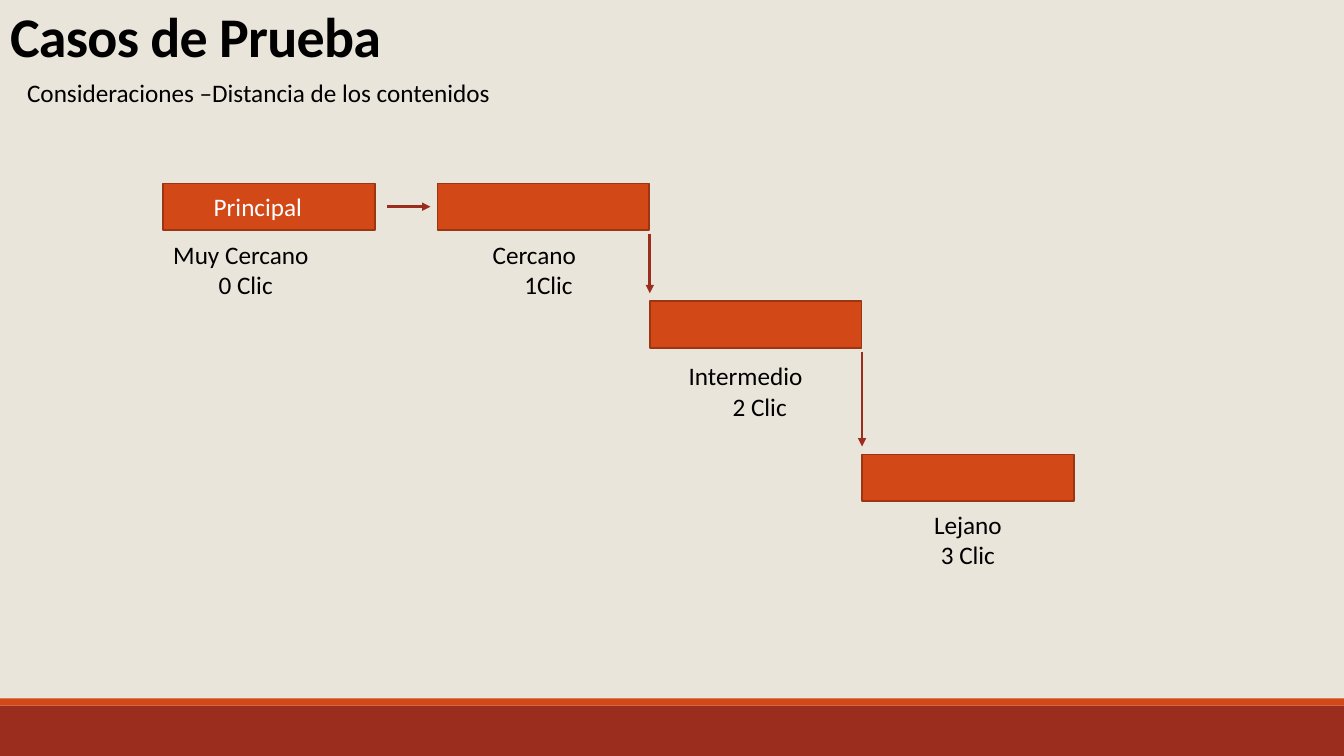
from dataclasses import dataclass

from lxml import etree
from pptx import Presentation
from pptx.dml.color import RGBColor
from pptx.enum.shapes import MSO_CONNECTOR, MSO_SHAPE
from pptx.enum.text import MSO_ANCHOR, MSO_AUTO_SIZE, PP_ALIGN
from pptx.oxml.ns import qn
from pptx.util import Inches, Pt

RECTANGLE = MSO_SHAPE.RECTANGLE
STRAIGHT = MSO_CONNECTOR.STRAIGHT
LEFT, CENTER = PP_ALIGN.LEFT, PP_ALIGN.CENTER
MIDDLE, BOTTOM = MSO_ANCHOR.MIDDLE, MSO_ANCHOR.BOTTOM
FIXED_SIZE = MSO_AUTO_SIZE.NONE

SLIDE_WIDTH, SLIDE_HEIGHT = 13.33, 7.5
STEP_WIDTH, STEP_HEIGHT = 2.1, 0.46
CAPTION_HEIGHT = 0.71
FIRST_LEFT, STAIR_LEFT, STAIR_PITCH = 1.62, 4.34, 2.105


@dataclass(frozen=True)
class Theme:
    background: RGBColor = RGBColor.from_string("EAE5DB")
    accent: RGBColor = RGBColor.from_string("D34817")
    outline: RGBColor = RGBColor.from_string("9C3511")
    dark: RGBColor = RGBColor.from_string("9B2D1F")
    text: RGBColor = RGBColor.from_string("000000")
    light: RGBColor = RGBColor.from_string("FFFFFF")
    font: str = "Calibri"
    title_size: int = 40
    body_size: int = 18


THEME = Theme()

# Left, top, step label, caption lines, caption offset, second-line indent, alignment
STEPS = [
    (FIRST_LEFT, 1.82, "Principal", "Muy Cercano\n0 Clic", (0, 0.5), 0.45, LEFT),
    (STAIR_LEFT, 1.82, "", "Cercano\n1Clic", (-0.09, 0.5), 0.28, CENTER),
    (STAIR_LEFT + STAIR_PITCH, 2.99, "", "Intermedio\n2 Clic", (-0.1, 0.54), 0.28, CENTER),
    (STAIR_LEFT + 2 * STAIR_PITCH, 4.51, "", "Lejano\n3 Clic", (0, 0.49), 0, CENTER),
]


def to_lengths(box):
    return [Inches(value) for value in box]


def format_text(text_frame, color, size=THEME.body_size, alignment=LEFT):
    for paragraph in text_frame.paragraphs:
        paragraph.alignment = alignment
        for run in paragraph.runs:
            run.font.name = THEME.font
            run.font.size = Pt(size)
            run.font.color.rgb = color


def add_rectangle(slide, box, fill, outline=None):
    shape = slide.shapes.add_shape(RECTANGLE, *to_lengths(box))
    shape.shadow.inherit = False
    shape.fill.solid()
    shape.fill.fore_color.rgb = fill
    if outline is None:
        shape.line.fill.background()
    else:
        shape.line.color.rgb = outline
        shape.line.width = Pt(1.25)
    return shape


def add_text(slide, box, text, alignment=LEFT, wrap=True):
    text_frame = slide.shapes.add_textbox(*to_lengths(box)).text_frame
    text_frame.word_wrap = wrap
    text_frame.text = text
    format_text(text_frame, THEME.text, alignment=alignment)
    return text_frame


def add_arrow(slide, start, end):
    arrow = slide.shapes.add_connector(STRAIGHT, *to_lengths(start + end))
    arrow.line.color.rgb = THEME.dark
    arrow.line.width = Pt(2)
    line = arrow.line._get_or_add_ln()
    etree.SubElement(line, qn("a:tailEnd"), type="triangle")
    etree.SubElement(arrow._element.spPr, qn("a:effectLst"))


def add_footer(slide, box):
    """Dark band with an accent strip on its upper edge."""
    left, top, width, height = box
    strip = 0.07
    add_rectangle(slide, (left, top + strip, width, height - strip), THEME.dark)
    add_rectangle(slide, (left, top, width, strip), THEME.accent)


def add_heading(slide, box):
    """Title, with the subtitle directly below it."""
    left, top, width, height = box
    title = slide.shapes.title
    title.left, title.top, title.width, title.height = to_lengths(box)
    text_frame = title.text_frame
    text_frame.text = "Casos de Prueba"
    text_frame.auto_size = FIXED_SIZE
    text_frame.vertical_anchor = BOTTOM
    format_text(text_frame, THEME.text, THEME.title_size)
    paragraph = text_frame.paragraphs[0]
    paragraph.line_spacing = 0.85
    font = paragraph.runs[0].font
    font.bold = True
    font._element.set("spc", "-50")
    add_text(slide, (left + 0.17, top + height - 0.01, 4.85, 0.4),
             "Consideraciones –Distancia de los contenidos", wrap=False)


def add_step(slide, box, label, caption, offset, indent, alignment):
    """Rectangle with an optional label, and a two-line caption below."""
    left, top, width, height = box
    shape = add_rectangle(slide, box, THEME.accent, THEME.outline)
    if label:
        text_frame = shape.text_frame
        text_frame.text = label
        text_frame.margin_left = Inches(0.5)
        text_frame.vertical_anchor = MIDDLE
        format_text(text_frame, THEME.light)
    caption_box = (left + offset[0], top + offset[1], width, CAPTION_HEIGHT)
    text_frame = add_text(slide, caption_box, caption, alignment)
    if indent:
        properties = text_frame.paragraphs[1]._p.get_or_add_pPr()
        properties.set("marL", str(Inches(indent)))


def add_step_arrow(slide, start_step, end_step):
    """Horizontal between level steps, downward between stairs."""
    (left, top), (next_left, next_top) = start_step[:2], end_step[:2]
    if top == next_top:
        middle = top + STEP_HEIGHT / 2
        add_arrow(slide, (left + STEP_WIDTH + 0.12, middle), (next_left - 0.07, middle))
    else:
        add_arrow(slide, (next_left, top + STEP_HEIGHT + 0.04), (next_left, next_top - 0.08))


def build_slide(presentation):
    slide = presentation.slides.add_slide(presentation.slide_layouts[5])
    slide.background.fill.solid()
    slide.background.fill.fore_color.rgb = THEME.background
    add_footer(slide, (0, 6.93, SLIDE_WIDTH, SLIDE_HEIGHT - 6.93))
    add_heading(slide, (0, -0.29, 12.37, 1.02))

    # Distance diagram
    for left, top, *content in STEPS:
        add_step(slide, (left, top, STEP_WIDTH, STEP_HEIGHT), *content)
    for start_step, end_step in zip(STEPS, STEPS[1:]):
        add_step_arrow(slide, start_step, end_step)


def main():
    presentation = Presentation()
    presentation.slide_width = Inches(SLIDE_WIDTH)
    presentation.slide_height = Inches(SLIDE_HEIGHT)
    build_slide(presentation)
    presentation.save("out.pptx")


if __name__ == "__main__":
    main()
